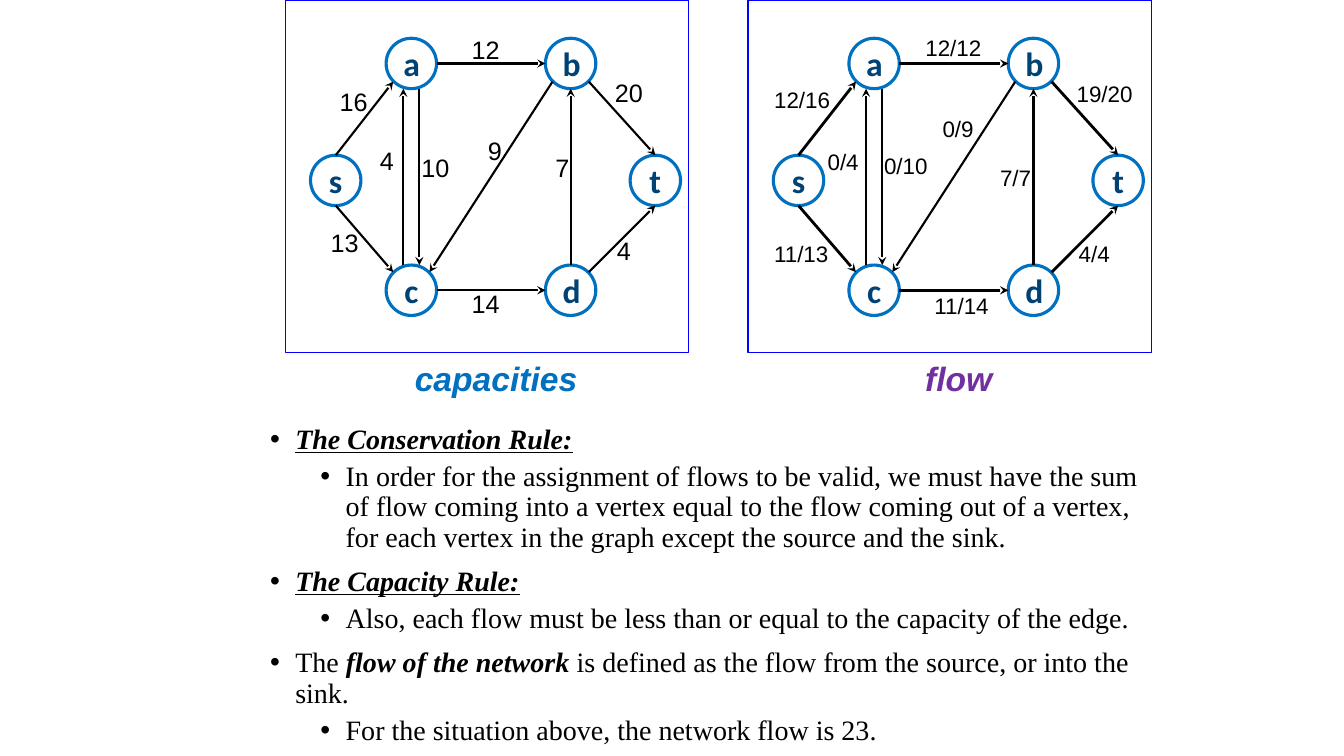
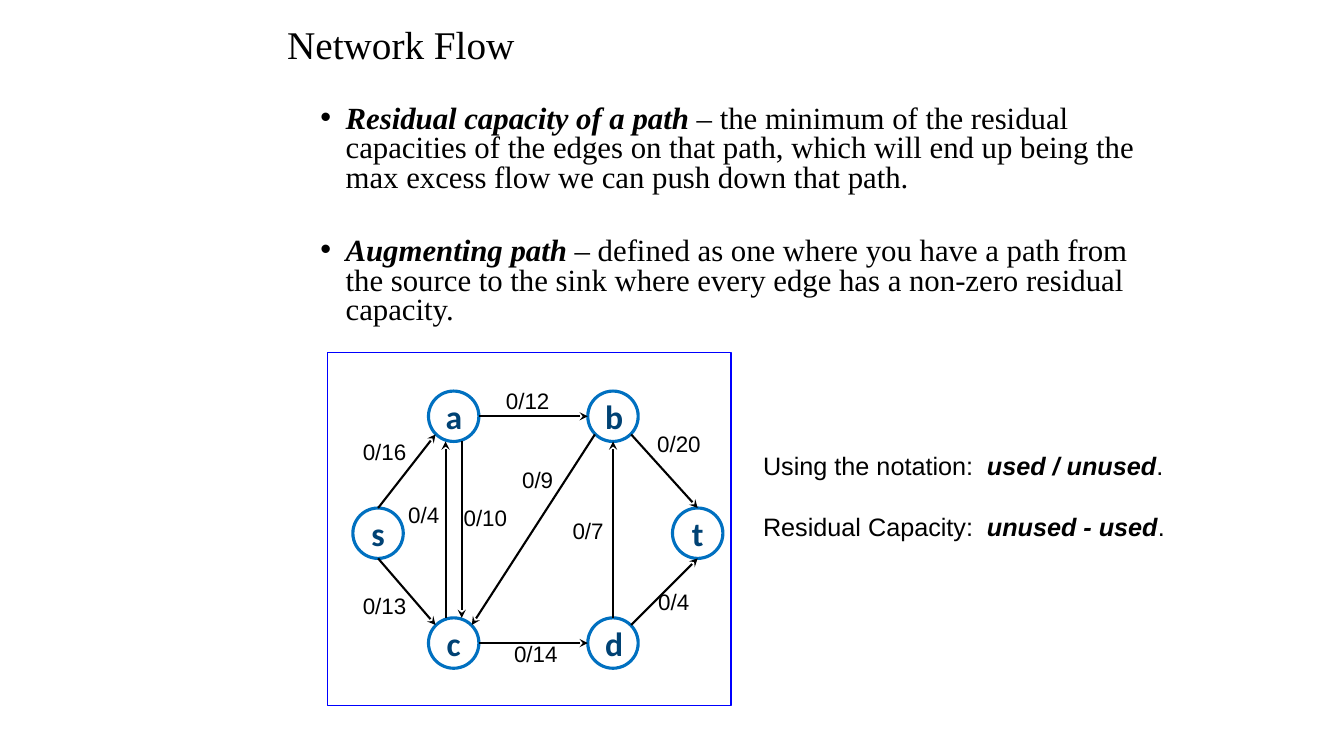
from dataclasses import dataclass

from lxml.etree import SubElement
from pptx import Presentation
from pptx.dml.color import RGBColor
from pptx.enum.shapes import MSO_CONNECTOR, MSO_SHAPE
from pptx.enum.text import MSO_ANCHOR, PP_ALIGN
from pptx.oxml.ns import qn
from pptx.util import Emu, Pt

PX = 9144  # one px is a hundredth of an inch


@dataclass(frozen=True)
class Theme:
    ink: str = "000000"
    node_line: str = "0070C0"
    node_text: str = "004274"
    frame: str = "0000FF"
    capacities: str = "0070C0"
    flow: str = "7030A0"
    serif: str = "Times New Roman"
    sans: str = "Arial"
    node_font: str = "Calibri"
    title_size: int = 28
    heading_size: int = 24
    definition_size: int = 22
    rule_size: int = 20
    note_size: int = 18
    pair_size: int = 16


T = Theme()

# Graph geometry, relative to the frame
FRAME_W, FRAME_H, NODE = 400, 350, 50
NODES = {"a": (100, 38), "s": (25, 154), "c": (100, 263),
         "b": (258, 38), "d": (258, 263), "t": (342, 154)}
# Points on the outline of a node, relative to its corner
SITES = {"n": (25, 0), "s": (25, 50), "w": (0, 25), "e": (50, 25),
         "nw": (7, 7), "ne": (43, 7), "sw": (7, 43), "se": (43, 43),
         "n left": (17, 0), "n right": (33, 0),
         "s left": (17, 50), "s right": (33, 50)}
# Start node and site, end node and site; the outer edges come first
EDGES = [("a", "e", "b", "w"), ("s", "n", "a", "sw"), ("s", "s", "c", "nw"),
         ("c", "e", "d", "w"), ("d", "ne", "t", "s"), ("b", "se", "t", "n"),
         ("a", "s right", "c", "n right"), ("d", "n", "b", "s"),
         ("b", "sw", "c", "ne"), ("c", "n left", "a", "s left")]
OUTER_EDGES = 6

# Edge labels in the order of EDGES: text, left, top
CAPACITIES = [("12", 175, 29), ("16", 44, 81), ("13", 35, 221), ("14", 175, 281),
              ("4", 319, 229), ("20", 317, 72), ("10", 125, 146), ("7", 258, 146),
              ("9", 191, 129), ("4", 84, 139)]
FLOWS = [("12/12", 166, 29), ("12/16", 16, 81), ("11/13", 16, 233),
         ("11/14", 175, 285), ("4/4", 318, 233), ("19/20", 316, 75),
         ("0/10", 125, 146), ("7/7", 240, 158), ("0/9", 183, 109), ("0/4", 69, 142)]
UNUSED = [("0/12", 167, 29), ("0/16", 25, 80), ("0/13", 25, 233),
          ("0/14", 175, 280), ("0/4", 318, 229), ("0/20", 317, 72),
          ("0/10", 125, 145), ("0/7", 233, 158), ("0/9", 183, 108), ("0/4", 70, 142)]


def px(*lengths):
    return [Emu(n * PX) for n in lengths]


def style(r, font, size, color=T.ink, marks=""):
    """Format a run; marks holds b, i and u for bold, italic, underline."""
    r.font.name, r.font.size = font, Pt(size)
    r.font.color.rgb = RGBColor.from_string(color)
    r.font.bold, r.font.italic = "b" in marks, "i" in marks
    r.font.underline = "u" in marks


def add_runs(p, runs, font, size, color=T.ink):
    for text, marks in runs:
        r = p.add_run()
        r.text = text
        style(r, font, size, color, marks)


def add_text(slide, box, runs, font, size, color=T.ink, wrap=True):
    sp = slide.shapes.add_textbox(*px(*box))
    tf = sp.text_frame
    tf.word_wrap = wrap
    add_runs(tf.paragraphs[0], runs, font, size, color)
    return tf


def add_bullets(slide, box, items, size, spacing):
    """Items are (level, space before, runs)."""
    tf = add_text(slide, box, [], T.serif, size)
    for i, (level, before, runs) in enumerate(items):
        p = tf.add_paragraph() if i else tf.paragraphs[0]
        p.level, p.line_spacing, p.space_before = level, spacing, Pt(before)
        pPr = p._p.get_or_add_pPr()
        pPr.set("marL", str((25 + 50 * level) * PX))
        pPr.set("indent", str(-25 * PX))
        SubElement(pPr, qn("a:buFont")).set("typeface", T.sans)
        SubElement(pPr, qn("a:buChar")).set("char", "•")
        add_runs(p, runs, T.serif, size)


def add_outline(slide, kind, box, color, width):
    sp = slide.shapes.add_shape(kind, *px(*box))
    sp.shadow.inherit = False
    sp.fill.background()
    sp.line.color.rgb = RGBColor.from_string(color)
    sp.line.width = Pt(width)
    return sp


def add_node(slide, name, left, top):
    sp = add_outline(slide, MSO_SHAPE.OVAL, (left, top, NODE, NODE), T.node_line, 2.25)
    tf = sp.text_frame
    tf.vertical_anchor = MSO_ANCHOR.MIDDLE
    tf.text = name
    tf.paragraphs[0].alignment = PP_ALIGN.CENTER
    style(tf.paragraphs[0].runs[0], T.node_font, T.heading_size, T.node_text, "b")


def add_arrow(slide, start, end, width):
    line = slide.shapes.add_connector(MSO_CONNECTOR.STRAIGHT, *px(*start, *end))
    line.line.color.rgb = RGBColor.from_string(T.ink)
    line.line.width = Pt(width)
    SubElement(line.line._get_or_add_ln(), qn("a:tailEnd")).set("type", "stealth")
    SubElement(line._element.spPr, qn("a:effectLst"))


def add_label(slide, text, left, top, size):
    em = size * 100 / 72
    slashes = text.count("/")
    width = round(20 + em * (0.556 * (len(text) - slashes) + 0.278 * slashes))
    height = round(10 + 1.2 * em)
    add_text(slide, (left, top, width, height), [(text, "")], T.sans, size, wrap=False)


def add_graph(slide, left, top, labels, size, outer_width=1.5):
    def site(node, side):
        (x, y), (dx, dy) = NODES[node], SITES[side]
        return left + x + dx, top + y + dy

    for name, (x, y) in NODES.items():
        add_node(slide, name, left + x, top + y)
    for i, (a, a_side, b, b_side) in enumerate(EDGES):
        width = outer_width if i < OUTER_EDGES else 1.5
        add_arrow(slide, site(a, a_side), site(b, b_side), width)
    add_outline(slide, MSO_SHAPE.RECTANGLE, (left, top, FRAME_W, FRAME_H), T.frame, 1)
    for text, x, y in labels:
        add_label(slide, text, left + x, top + y, size)


def add_caption(slide, left, text, color):
    tf = add_text(slide, (left + 9, FRAME_H, FRAME_W, 51), [(text, "bi")],
                  T.sans, T.heading_size, color)
    tf.paragraphs[0].alignment = PP_ALIGN.CENTER


def add_notation(slide, box, rows):
    """Rows of a term and its formula, aligned at a tab stop."""
    tf = add_text(slide, box, [], T.sans, T.note_size)
    for i, (term, formula) in enumerate(rows):
        p = tf.add_paragraph() if i else tf.paragraphs[0]
        p.space_before = Pt(22 if i else 0)
        tabs = SubElement(p._p.get_or_add_pPr(), qn("a:tabLst"))
        tab = SubElement(tabs, qn("a:tab"))
        tab.set("pos", str(222 * PX))
        tab.set("algn", "l")
        add_runs(p, [(term + "\t", ""), (formula, "bi"), (".", "")], T.sans, T.note_size)


def build_rules(slide):
    # Capacity and flow graphs
    add_graph(slide, 283, 0, CAPACITIES, T.note_size)
    add_caption(slide, 283, "capacities", T.capacities)
    add_graph(slide, 742, 0, FLOWS, T.pair_size, outer_width=2)
    add_caption(slide, 742, "flow", T.flow)
    # Rules
    add_bullets(slide, (258, 417, 908, 333), [
        (0, 0, [("The Conservation Rule:", "biu")]),
        (1, 5, [("In order for the assignment of flows to be valid, we must have "
                 "the sum of flow coming into a vertex equal to the flow coming out "
                 "of a vertex, for each vertex in the graph except the source and "
                 "the sink.", "")]),
        (0, 10, [("The Capacity Rule:", "biu")]),
        (1, 5, [("Also, each flow must be less than or equal to the capacity of "
                 "the edge.", "")]),
        (0, 10, [("The ", ""), ("flow of the network ", "bi"),
                 ("is defined as the flow from the source, or into the sink.", "")]),
        (1, 5, [("For the situation above, the network flow is 23.", "")]),
    ], T.rule_size, 0.9)


def build_residual(slide):
    # Title and definitions
    tf = add_text(slide, (275, 0, 820, 92), [("Network Flow", "")], T.serif, T.title_size)
    tf.vertical_anchor = MSO_ANCHOR.MIDDLE
    tf.paragraphs[0].line_spacing = 0.9
    add_bullets(slide, (258, 100, 892, 250), [
        (1, 0, [("Residual capacity of a path ", "bi"),
                ("– the minimum of the residual capacities of the edges on that "
                 "path, which will end up being the max excess flow we can push "
                 "down that path.", "")]),
        (1, 31, [("Augmenting path ", "bi"),
                 ("– defined as one where you have a path from the source to the "
                  "sink where every edge has a non-zero residual capacity.", "")]),
    ], T.definition_size, 0.8)
    # Graph and its notation
    add_graph(slide, 325, 350, UNUSED, T.pair_size)
    add_notation(slide, (747, 442, 420, 131),
                 [("Using the notation:", "used / unused"),
                  ("Residual Capacity:", "unused - used")])


def main():
    prs = Presentation()
    prs.slide_width, prs.slide_height = px(1333, 750)
    for build in (build_rules, build_residual):
        build(prs.slides.add_slide(prs.slide_layouts[6]))
    prs.save("out.pptx")


if __name__ == "__main__":
    main()
